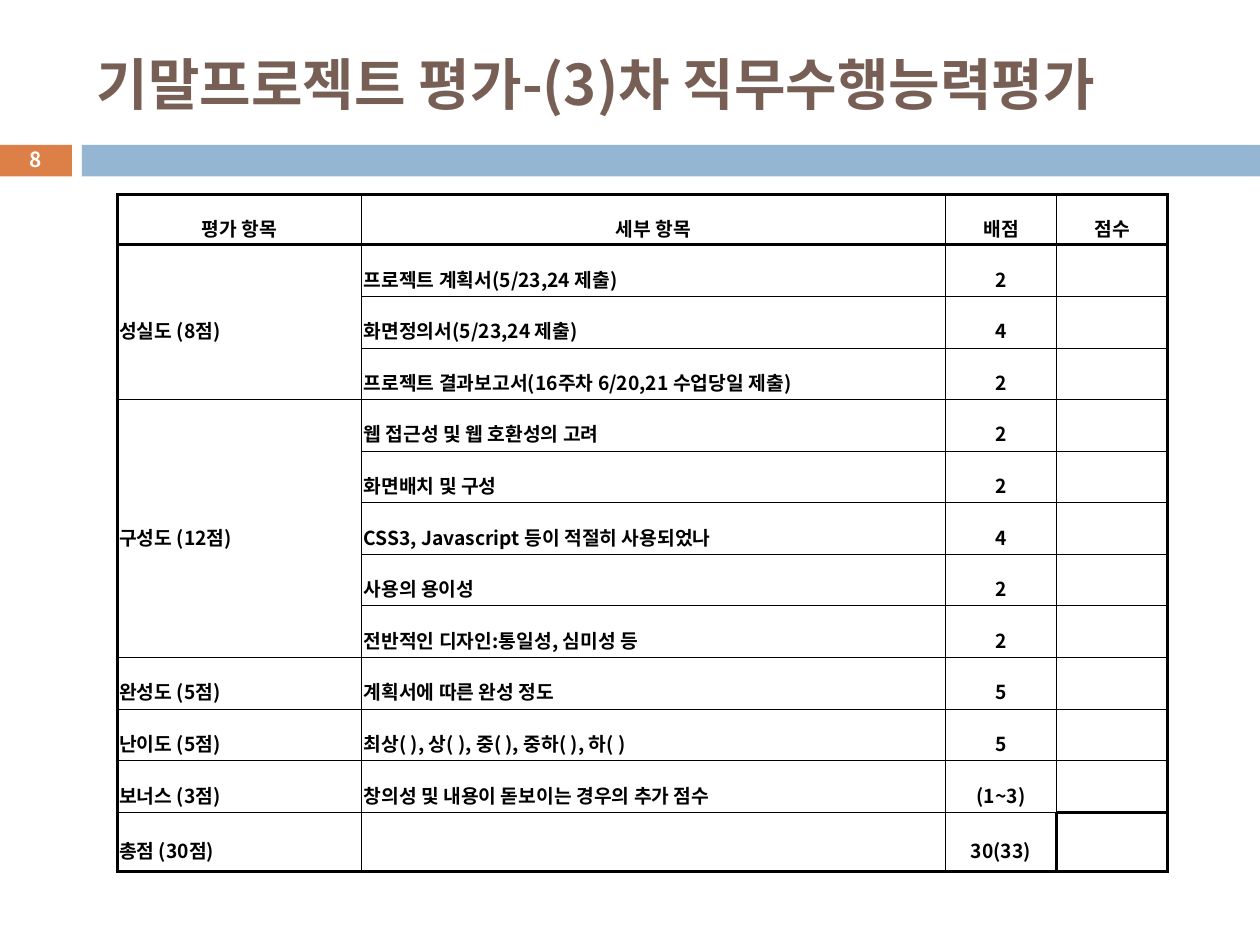
from lxml import etree
from pptx import Presentation
from pptx import util as u
from pptx.dml.color import RGBColor
from pptx.enum import shapes, text
from pptx.oxml import ns

BLACK = RGBColor(0, 0, 0)
WHITE = RGBColor(255, 255, 255)
BROWN = RGBColor(0x77, 0x5F, 0x55)
ORANGE = RGBColor(0xDD, 0x80, 0x47)
BLUE = RGBColor(0x94, 0xB6, 0xD2)
FONT = "Noto Sans CJK KR"


def write(frame, words, size, color, align):
    frame.vertical_anchor = text.MSO_ANCHOR.MIDDLE
    para = frame.paragraphs[0]
    para.text = words
    para.alignment = align
    para.font.size = u.Pt(size)
    para.font.bold = True
    para.font.color.rgb = color
    para.font.name = FONT
    properties = para._p.pPr.find(ns.qn("a:defRPr"))
    etree.SubElement(properties, ns.qn("a:ea"), typeface=FONT)
    return para


def draw_edge(cell, index, side, thick):
    width = u.Pt(1.98 if thick else 0.28)
    line = etree.Element(ns.qn(f"a:ln{side}"), w=str(int(width)))
    fill = etree.SubElement(line, ns.qn("a:solidFill"))
    etree.SubElement(fill, ns.qn("a:srgbClr"), val=str(BLACK))
    cell._tc.get_or_add_tcPr().insert(index, line)


deck = Presentation()
deck.slide_width, deck.slide_height = u.Cm(25.4), u.Cm(19.05)
page = deck.slides.add_slide(deck.slide_layouts[6])

for left, width, color in [(-0.03, 1.48, ORANGE), (1.65, 23.75, BLUE)]:
    bar = page.shapes.add_shape(
        shapes.MSO_SHAPE.RECTANGLE, u.Cm(left), u.Cm(2.92), u.Cm(width), u.Cm(0.64))
    bar.shadow.inherit = False
    bar.fill.solid()
    bar.fill.fore_color.rgb = color
    bar.line.fill.background()

for place, words, size, color, align in [
    ((1.7, 0.64, 22.66, 2.08), "기말프로젝트 평가-(3)차 직무수행능력평가", 32, BROWN, text.PP_ALIGN.LEFT),
    ((-0.03, 2.87, 1.48, 0.69), "8", 11.9, WHITE, text.PP_ALIGN.CENTER),
]:
    box = page.shapes.add_textbox(*[u.Cm(length) for length in place])
    box.text_frame.word_wrap = True
    write(box.text_frame, words, size, color, align)

rows = [
    ("평가 항목", "세부 항목", "배점", "점수"),
    ("성실도 (8점)", "프로젝트 계획서(5/23,24 제출)", "2", ""),
    ("", "화면정의서(5/23,24 제출)", "4", ""),
    ("", "프로젝트 결과보고서(16주차 6/20,21 수업당일 제출)", "2", ""),
    ("구성도 (12점)", "웹 접근성 및 웹 호환성의 고려", "2", ""),
    ("", "화면배치 및 구성", "2", ""),
    ("", "CSS3, Javascript 등이 적절히 사용되었나", "4", ""),
    ("", "사용의 용이성", "2", ""),
    ("", "전반적인 디자인:통일성, 심미성 등", "2", ""),
    ("완성도 (5점)", "계획서에 따른 완성 정도", "5", ""),
    ("난이도 (5점)", "최상( ), 상( ), 중( ), 중하( ), 하( )", "5", ""),
    ("보너스 (3점)", "창의성 및 내용이 돋보이는 경우의 추가 점수", "(1~3)", ""),
    ("총점 (30점)", "", "30(33)", ""),
]
last_row, last_column = len(rows) - 1, len(rows[0]) - 1
total_score = (last_row, last_column)

table = page.shapes.add_table(
    len(rows), len(rows[0]), u.Cm(2.36), u.Cm(3.93), u.Cm(21.18), u.Cm(13.64)).table
table.first_row = False
table.horz_banding = False
for column, width in zip(table.columns, [4.93, 11.77, 2.24, 2.24]):
    column.width = u.Cm(width)
for row, height in zip(table.rows, [1] + [1.04] * 11 + [1.2]):
    row.height = u.Cm(height)
for first, last in [(1, 3), (4, 8)]:
    table.cell(first, 0).merge(table.cell(last, 0))

for r, row in enumerate(rows):
    for c, words in enumerate(row):
        cell = table.cell(r, c)
        cell.margin_left = cell.margin_right = u.Cm(0.04)
        cell.margin_top = cell.margin_bottom = u.Cm(0.04)
        cell.vertical_anchor = text.MSO_ANCHOR.MIDDLE
        cell.fill.background()
        if words:
            centred = r == 0 or c > 1
            align = text.PP_ALIGN.CENTER if centred else text.PP_ALIGN.JUSTIFY
            para = write(cell.text_frame, words, 11, BLACK, align)
            para.line_spacing = 1.6
        edges = [
            ("L", c == 0 or (r, c) == total_score),
            ("R", c == last_column or (r, c + 1) == total_score),
            ("T", r in (0, 1) or (r, c) == total_score),
            ("B", r in (0, last_row) or (r + 1, c) == total_score),
        ]
        for index, (side, thick) in enumerate(edges):
            draw_edge(cell, index, side, thick)

deck.save("out.pptx")
